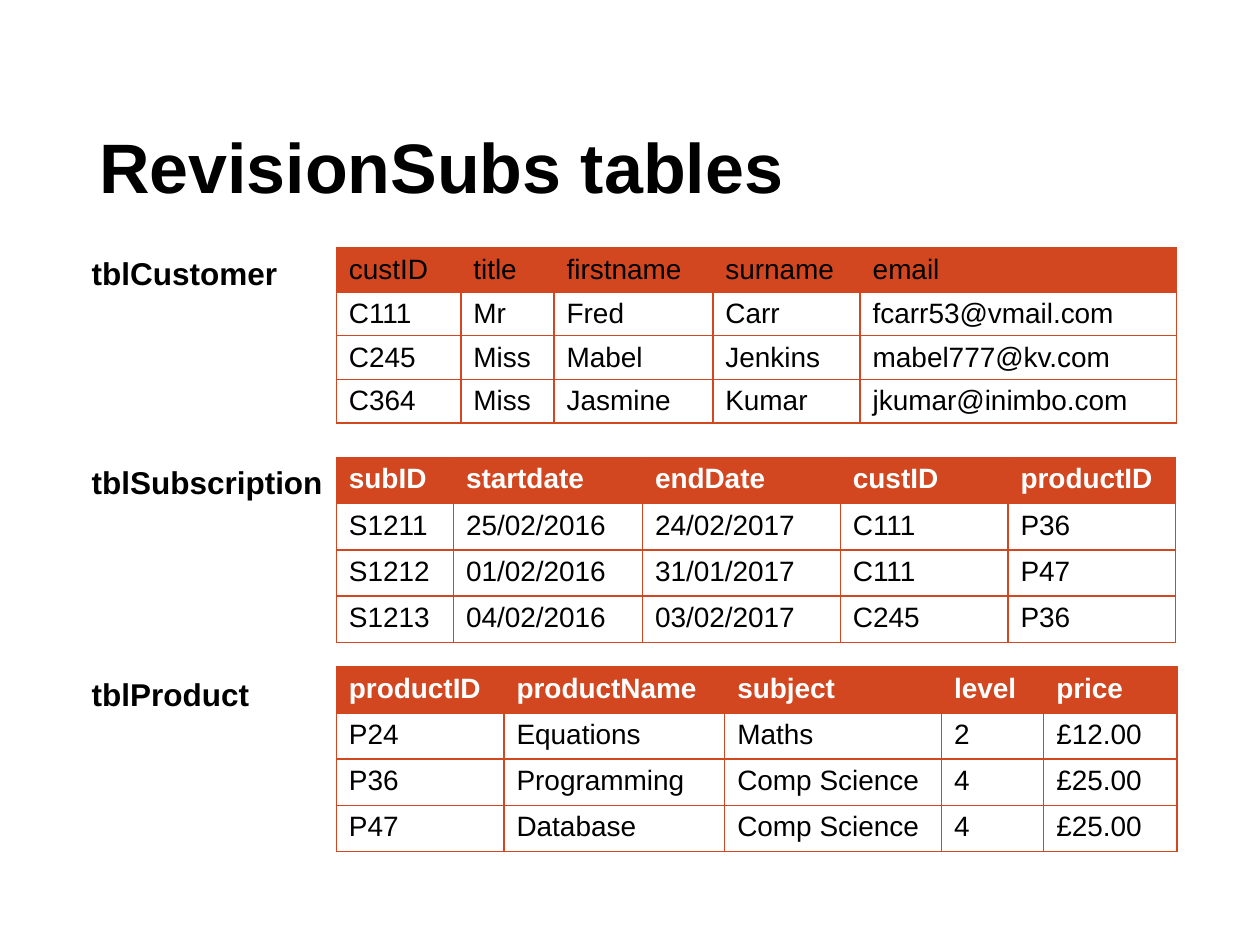
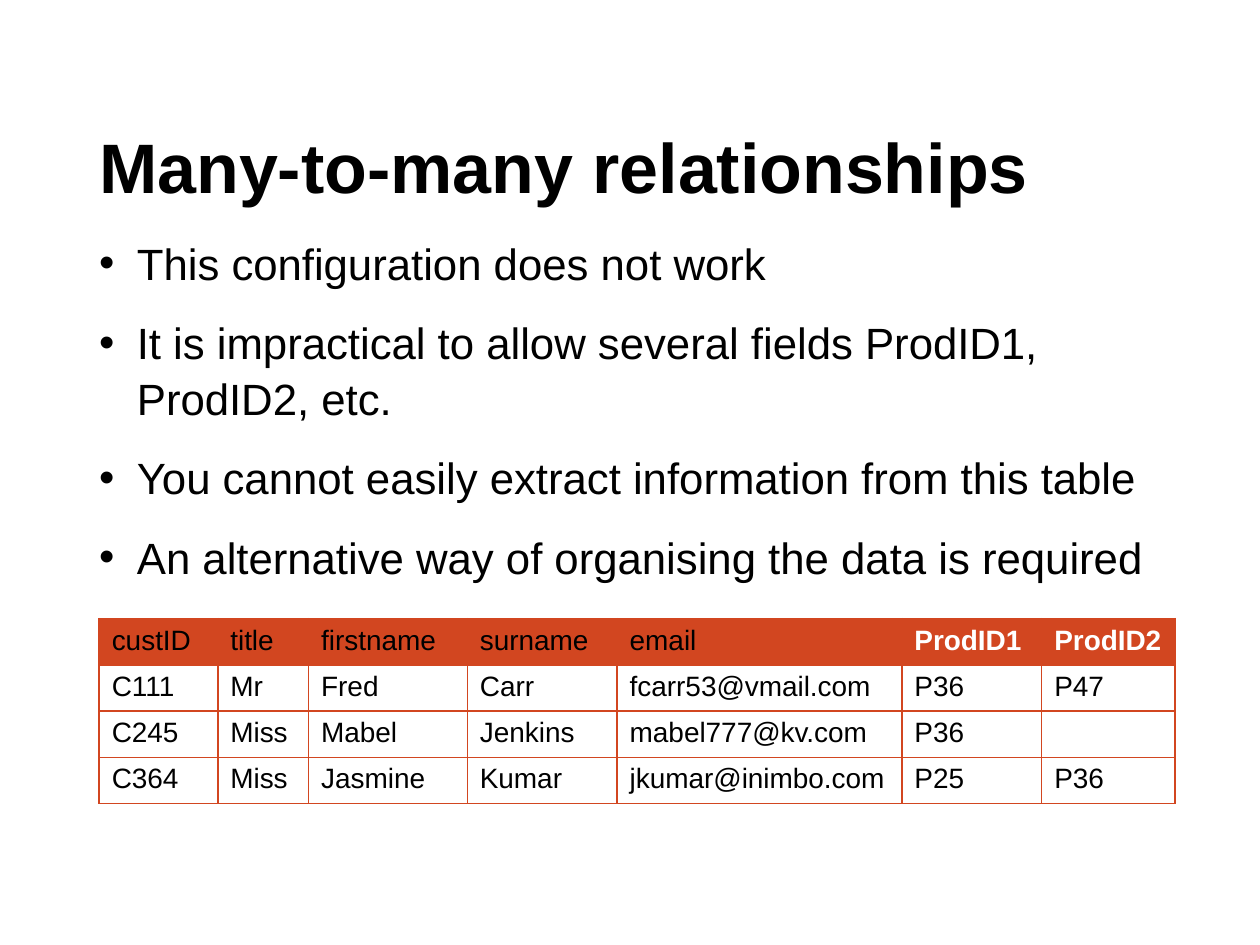
from dataclasses import dataclass

import lxml.etree
import pptx
import pptx.dml.color
import pptx.enum.text
import pptx.oxml.ns
import pptx.presentation
import pptx.slide
import pptx.text.text
import pptx.util

Cm = pptx.util.Cm
Pt = pptx.util.Pt
qn = pptx.oxml.ns.qn

# Shared look
COLORS = {"text": "000000", "header_text": "FFFFFF", "accent": "D24620"}
FONT = "Arial"
TITLE_SIZE, BULLET_SIZE, LABEL_SIZE, CELL_SIZE = 40, 25, 18, 16
TEXT_LEFT = 2.0
ROW_HEIGHT = 0.88
BULLET_INDENT = 0.76

# Slide 1 grid
TABLE_LEFT, FIRST_TABLE_TOP, TABLE_STEP = 6.78, 5.0, 4.22


@dataclass
class DataTable:
    """Column widths are in centimetres; the first row is the header."""
    widths: list[float]
    rows: list[list[str]]
    plain_headers: int = 0


@dataclass
class LabelledTable:
    label: str
    label_top: float
    table: DataTable


CUSTOMER_ROWS = [
    ["custID", "title", "firstname", "surname", "email"],
    ["C111", "Mr", "Fred", "Carr", "fcarr53@vmail.com"],
    ["C245", "Miss", "Mabel", "Jenkins", "mabel777@kv.com"],
    ["C364", "Miss", "Jasmine", "Kumar", "jkumar@inimbo.com"],
]
PRODUCT_COLUMNS = [["ProdID1", "ProdID2"], ["P36", "P47"], ["P36", ""], ["P25", "P36"]]

DATABASE = [
    LabelledTable("tblCustomer", 5.0, DataTable(
        [2.51, 1.88, 3.2, 2.97, 6.38], CUSTOMER_ROWS, plain_headers=5)),
    LabelledTable("tblSubscription", 9.2, DataTable(
        [2.36, 3.81, 3.99, 3.38, 3.38], [
            ["subID", "startdate", "endDate", "custID", "productID"],
            ["S1211", "25/02/2016", "24/02/2017", "C111", "P36"],
            ["S1212", "01/02/2016", "31/01/2017", "C111", "P47"],
            ["S1213", "04/02/2016", "03/02/2017", "C245", "P36"],
        ])),
    LabelledTable("tblProduct", 13.49, DataTable(
        [3.38, 4.45, 4.37, 2.06, 2.69], [
            ["productID", "productName", "subject", "level", "price"],
            ["P24", "Equations", "Maths", "2", "£12.00"],
            ["P36", "Programming", "Comp Science", "4", "£25.00"],
            ["P47", "Database", "Comp Science", "4", "£25.00"],
        ])),
]

WIDE_CUSTOMER_TABLE = DataTable(
    [2.39, 1.83, 3.2, 3.02, 5.74, 2.82, 2.69],
    [customer + products for customer, products in zip(CUSTOMER_ROWS, PRODUCT_COLUMNS)],
    plain_headers=5)

BULLETS = [
    "This configuration does not work",
    "It is impractical to allow several fields ProdID1, ProdID2, etc.",
    "You cannot easily extract information from this table",
    "An alternative way of organising the data is required",
]


def rgb(name: str) -> pptx.dml.color.RGBColor:
    return pptx.dml.color.RGBColor.from_string(COLORS[name])


def format_runs(paragraph: pptx.text.text._Paragraph, size: float,
                bold: bool = False, color: str = "text") -> None:
    for run in paragraph.runs:
        run.font.name = FONT
        run.font.size = Pt(size)
        run.font.bold = bold
        run.font.color.rgb = rgb(color)


def add_titled_slide(presentation: pptx.presentation.Presentation,
                     title: str) -> pptx.slide.Slide:
    slide = presentation.slides.add_slide(presentation.slide_layouts.get_by_name("Title Only"))
    shape = slide.shapes.title
    shape.left, shape.top, shape.width, shape.height = Cm(TEXT_LEFT), Cm(2.51), Cm(21.72), Cm(1.85)
    text_frame = shape.text_frame
    text_frame.text = title
    text_frame.margin_left = 0
    text_frame.auto_size = pptx.enum.text.MSO_AUTO_SIZE.NONE
    text_frame.vertical_anchor = pptx.enum.text.MSO_ANCHOR.BOTTOM
    paragraph = text_frame.paragraphs[0]
    paragraph.alignment = pptx.enum.text.PP_ALIGN.LEFT
    paragraph.line_spacing = 0.97
    format_runs(paragraph, TITLE_SIZE, bold=True)
    return slide


def add_borders(cell: "pptx.table._Cell") -> None:
    properties = cell._tc.get_or_add_tcPr()
    for side in ("a:lnL", "a:lnR", "a:lnT", "a:lnB"):
        line = lxml.etree.SubElement(properties, qn(side), w=str(Pt(1)))
        fill = lxml.etree.SubElement(line, qn("a:solidFill"))
        lxml.etree.SubElement(fill, qn("a:srgbClr"), val=COLORS["accent"])


def add_data_table(slide: pptx.slide.Slide, data: DataTable, left: float, top: float) -> None:
    row_count, column_count = len(data.rows), len(data.widths)
    table = slide.shapes.add_table(
        row_count, column_count, Cm(left), Cm(top),
        Cm(sum(data.widths)), Cm(ROW_HEIGHT * row_count)).table
    table.first_row = table.horz_banding = False
    for column, width in zip(table.columns, data.widths):
        column.width = Cm(width)
    for row_index, values in enumerate(data.rows):
        table.rows[row_index].height = Cm(ROW_HEIGHT)
        for column_index, value in enumerate(values):
            cell = table.cell(row_index, column_index)
            add_borders(cell)
            if row_index == 0:
                cell.fill.solid()
                cell.fill.fore_color.rgb = rgb("accent")
            else:
                cell.fill.background()
            paragraph = cell.text_frame.paragraphs[0]
            paragraph.text = value
            strong = row_index == 0 and column_index >= data.plain_headers
            format_runs(paragraph, CELL_SIZE, strong, "header_text" if strong else "text")
            # Keeps an empty cell from stretching its row
            lxml.etree.SubElement(paragraph._p, qn("a:endParaRPr"), sz=str(CELL_SIZE * 100))


def add_text_box(slide: pptx.slide.Slide, left: float, top: float,
                 width: float, height: float) -> pptx.text.text.TextFrame:
    shape = slide.shapes.add_textbox(Cm(left), Cm(top), Cm(width), Cm(height))
    shape.text_frame.word_wrap = True
    return shape.text_frame


def add_label(slide: pptx.slide.Slide, label: str, top: float) -> None:
    text_frame = add_text_box(slide, 1.6, top, 5.18, 1.02)
    text_frame.text = label
    format_runs(text_frame.paragraphs[0], LABEL_SIZE, bold=True)


def add_bullets(slide: pptx.slide.Slide, bullets: list[str]) -> None:
    text_frame = add_text_box(slide, TEXT_LEFT, 4.72, 22, 7.4)
    text_frame.margin_left = text_frame.margin_top = 0
    text_frame.text = "\n".join(bullets)
    for index, paragraph in enumerate(text_frame.paragraphs):
        paragraph.line_spacing = 1.05
        paragraph.space_before = Pt(14 if index else 0)
        format_runs(paragraph, BULLET_SIZE)
        properties = paragraph._p.get_or_add_pPr()
        properties.set("marL", str(Cm(BULLET_INDENT)))
        properties.set("indent", str(-Cm(BULLET_INDENT)))
        lxml.etree.SubElement(properties, qn("a:buFont"), typeface=FONT)
        lxml.etree.SubElement(properties, qn("a:buChar"), char="•")


def main() -> None:
    presentation = pptx.Presentation()
    presentation.slide_width, presentation.slide_height = Cm(25.4), Cm(19.05)

    # Slide 1: the three tables of the database
    slide = add_titled_slide(presentation, "RevisionSubs tables")
    for index, entry in enumerate(DATABASE):
        add_data_table(slide, entry.table, TABLE_LEFT, FIRST_TABLE_TOP + index * TABLE_STEP)
        add_label(slide, entry.label, entry.label_top)

    # Slide 2: customers with repeated product fields
    slide = add_titled_slide(presentation, "Many-to-many relationships")
    add_bullets(slide, BULLETS)
    add_data_table(slide, WIDE_CUSTOMER_TABLE, TEXT_LEFT, 12.47)

    presentation.save("out.pptx")


if __name__ == "__main__":
    main()
